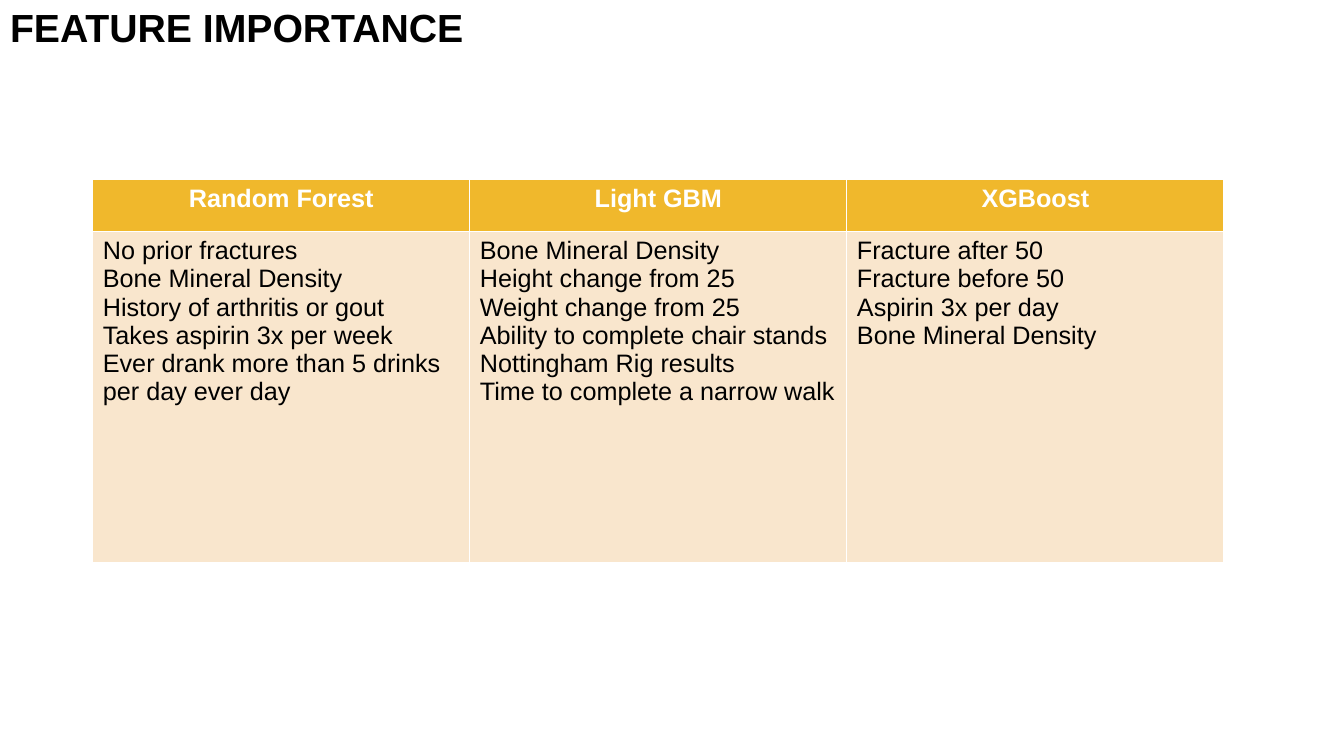
from dataclasses import dataclass

from pptx import Presentation
from pptx.dml.color import RGBColor
from pptx.enum.text import MSO_ANCHOR, MSO_AUTO_SIZE, PP_ALIGN
from pptx.util import Pt

EMU_PER_PX = 9144  # 100 px to the inch


def px(length):
    return length * EMU_PER_PX


@dataclass(frozen=True)
class Theme:
    font: str = "Arial"
    ink: str = "000000"
    header_ink: str = "FFFFFF"
    header_fill: str = "F0B82C"
    body_fill: str = "F9E6CD"
    title_size: int = 28
    table_size: int = 18


FEATURES = {
    "Random Forest": [
        "No prior fractures",
        "Bone Mineral Density",
        "History of arthritis or gout",
        "Takes aspirin 3x per week",
        "Ever drank more than 5 drinks per day ever day",
    ],
    "Light GBM": [
        "Bone Mineral Density",
        "Height change from 25",
        "Weight change from 25",
        "Ability to complete chair stands",
        "Nottingham Rig results",
        "Time to complete a narrow walk",
    ],
    "XGBoost": [
        "Fracture after 50",
        "Fracture before 50",
        "Aspirin 3x per day",
        "Bone Mineral Density",
    ],
}


def apply(target, formats):
    for attribute, value in formats.items():
        setattr(target, attribute, value)


class SlideBuilder:
    def __init__(self, slide, theme):
        self.slide = slide
        self.theme = theme

    def set_text(self, frame, lines, size, color, bold, **paragraph_format):
        frame.text = "\n".join(lines)
        for paragraph in frame.paragraphs:
            apply(paragraph, paragraph_format)
            for run in paragraph.runs:
                apply(run.font, {"name": self.theme.font, "size": Pt(size), "bold": bold})
                run.font.color.rgb = RGBColor.from_string(color)

    def title(self, text, left, top, width, height):
        heading = self.slide.shapes.title
        apply(heading, {"left": px(left), "top": px(top),
                        "width": px(width), "height": px(height)})
        apply(heading.text_frame, {"vertical_anchor": MSO_ANCHOR.MIDDLE,
                                   "word_wrap": True,
                                   "auto_size": MSO_AUTO_SIZE.NONE})
        self.set_text(heading.text_frame, [text], self.theme.title_size, self.theme.ink,
                      True, alignment=PP_ALIGN.LEFT, line_spacing=0.9)

    def cell(self, cell, lines, fill, color, bold, alignment):
        cell.fill.solid()
        cell.fill.fore_color.rgb = RGBColor.from_string(fill)
        self.set_text(cell.text_frame, lines, self.theme.table_size, color, bold,
                      alignment=alignment)

    def table(self, columns, left, top, column_width, row_heights):
        # The default table style supplies the white rules
        grid = self.slide.shapes.add_table(
            len(row_heights), len(columns), px(left), px(top),
            px(column_width * len(columns)), px(sum(row_heights))).table
        for row, height in zip(grid.rows, row_heights):
            row.height = px(height)
        theme = self.theme
        for index, (model, features) in enumerate(columns.items()):
            grid.columns[index].width = px(column_width)
            self.cell(grid.cell(0, index), [model], theme.header_fill,
                      theme.header_ink, True, PP_ALIGN.CENTER)
            self.cell(grid.cell(1, index), features, theme.body_fill,
                      theme.ink, False, PP_ALIGN.LEFT)


def main():
    deck = Presentation()
    apply(deck, {"slide_width": px(1333), "slide_height": px(750)})
    title_only = deck.slide_layouts[5]
    builder = SlideBuilder(deck.slides.add_slide(title_only), Theme())

    # Heading
    builder.title("FEATURE IMPORTANCE", 0, 0, 1150, 60)

    # Top features of each model
    builder.table(FEATURES, left=92, top=178, column_width=374, row_heights=[52, 328])

    deck.save("out.pptx")


if __name__ == "__main__":
    main()
